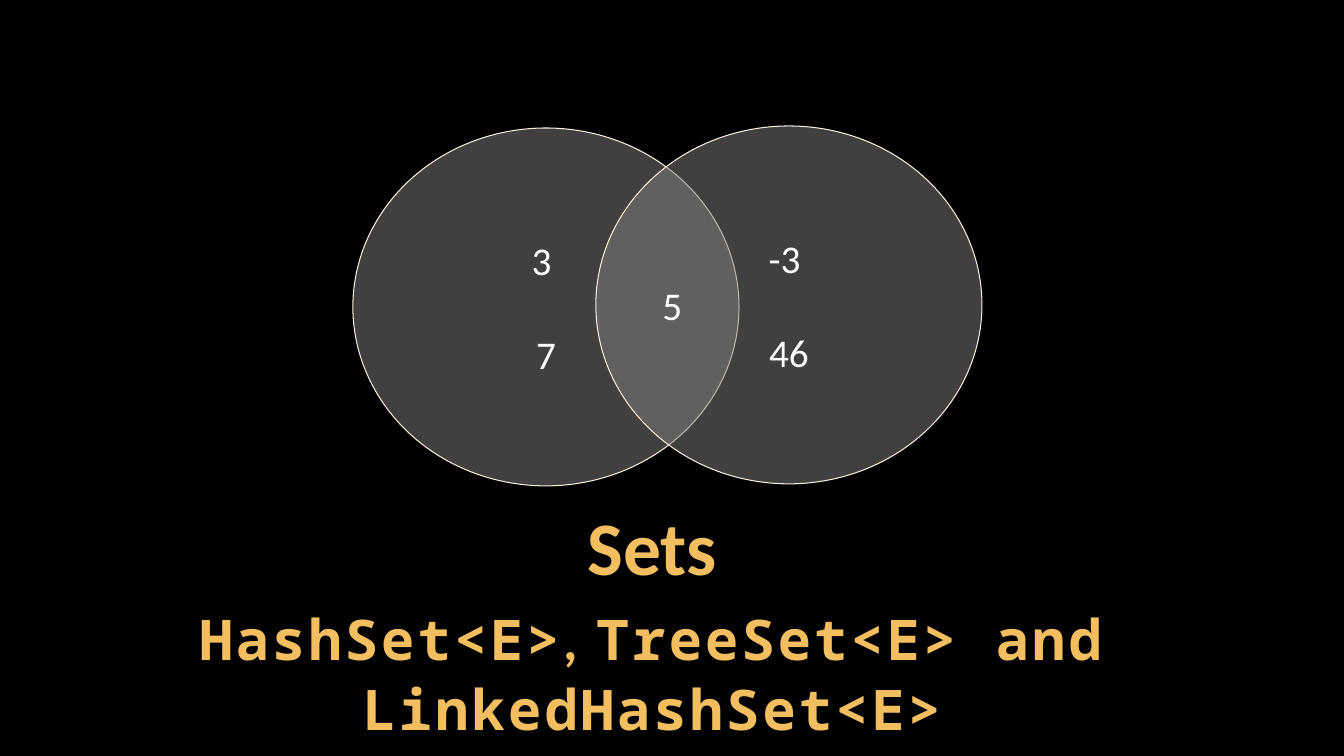
from lxml import etree
from pptx import Presentation
from pptx.dml.color import RGBColor
from pptx.enum.shapes import MSO_SHAPE
from pptx.enum.text import MSO_ANCHOR, MSO_AUTO_SIZE, PP_ALIGN
from pptx.oxml.ns import qn
from pptx.util import Inches, Pt

OVAL = MSO_SHAPE.OVAL
MIDDLE, BOTTOM, TOP = MSO_ANCHOR.MIDDLE, MSO_ANCHOR.BOTTOM, MSO_ANCHOR.TOP
CENTER, LEFT = PP_ALIGN.CENTER, PP_ALIGN.LEFT
GROW = MSO_AUTO_SIZE.SHAPE_TO_FIT_TEXT

SANS, MONO = "Calibri", "Noto Sans Mono"
BLACK, WHITE, GOLD, GREY, CREAM = "000000", "FFFFFF", "F3BE60", "808080", "FBEEDC"
TEXT_LEFT, TEXT_WIDTH = 1.58, 9.78
CIRCLE_W, CIRCLE_H = 3.83, 3.55
MEMBER_SIZE = 28
MEMBER_LINE = 34


def paint(color_format, color):
    color_format.rgb = RGBColor.from_string(color)


def style_run(r, font, size, color, bold=False):
    r.font.name, r.font.size, r.font.bold = font, Pt(size), bold
    paint(r.font.color, color)


def place_text(sp, top, height, anchor):
    """Move a placeholder into the text column and return its centred paragraph."""
    sp.left, sp.top = Inches(TEXT_LEFT), Inches(top)
    sp.width, sp.height = Inches(TEXT_WIDTH), Inches(height)
    tf = sp.text_frame
    tf.word_wrap, tf.auto_size, tf.vertical_anchor = True, GROW, anchor
    tf.margin_left = tf.margin_right = tf.margin_top = tf.margin_bottom = Inches(0.04)
    p = tf.paragraphs[0]
    p.alignment = CENTER
    return p


def add_title(s, text):
    p = place_text(s.shapes.title, 5, 0.9, BOTTOM)
    p.text = text
    p.line_spacing = Pt(54)
    style_run(p.runs[0], SANS, 54, GOLD, bold=True)


def add_class_names(s, parts):
    p = place_text(s.placeholders[1], 5.92, 1.49, TOP)
    p.line_spacing, p.space_before, p.space_after = 1.05, Pt(0), Pt(6)
    pPr = p._p.get_or_add_pPr()
    pPr.set("marL", "0")
    pPr.set("indent", "0")
    etree.SubElement(pPr, qn("a:buNone"))
    for text, font in parts:
        r = p.add_run()
        r.text = text
        style_run(r, font, 40, GOLD, bold=True)
        r.font._element.set("spc", "200")


def add_set(s, left, top, members):
    """Draw a half-transparent set with (text, alignment, space before) members."""
    sp = s.shapes.add_shape(OVAL, Inches(left), Inches(top), Inches(CIRCLE_W), Inches(CIRCLE_H))
    sp.shadow.inherit = False
    sp.fill.solid()
    paint(sp.fill.fore_color, GREY)
    srgb = sp._element.spPr.find(qn("a:solidFill")).find(qn("a:srgbClr"))
    etree.SubElement(srgb, qn("a:alpha")).set("val", "50000")
    paint(sp.line.color, CREAM)
    sp.line.width = Pt(0.75)
    tf = sp.text_frame
    tf.word_wrap, tf.vertical_anchor = True, MIDDLE
    tf.text = "\n".join(text for text, _, _ in members)
    for p, (_, alignment, gap) in zip(tf.paragraphs, members):
        p.alignment, p.space_before = alignment, Pt(gap)
        style_run(p.runs[0], SANS, MEMBER_SIZE, WHITE)


def main():
    prs = Presentation()
    prs.slide_width, prs.slide_height = Inches(13.33), Inches(7.5)
    s = prs.slides.add_slide(prs.slide_layouts[1])
    s.background.fill.solid()
    paint(s.background.fill.fore_color, BLACK)

    add_title(s, "Sets")
    add_class_names(s, [("HashSet<E>", MONO), (", ", SANS),
                        ("TreeSet<E> and LinkedHashSet<E>", MONO)])
    add_set(s, 3.5, 1.27, [("3 ", CENTER, 0), ("7", CENTER, MEMBER_LINE)])
    add_set(s, 5.91, 1.25, [("-3 ", CENTER, 0), ("5", LEFT, 0), ("46", CENTER, 0)])
    prs.save("out.pptx")


if __name__ == "__main__":
    main()
